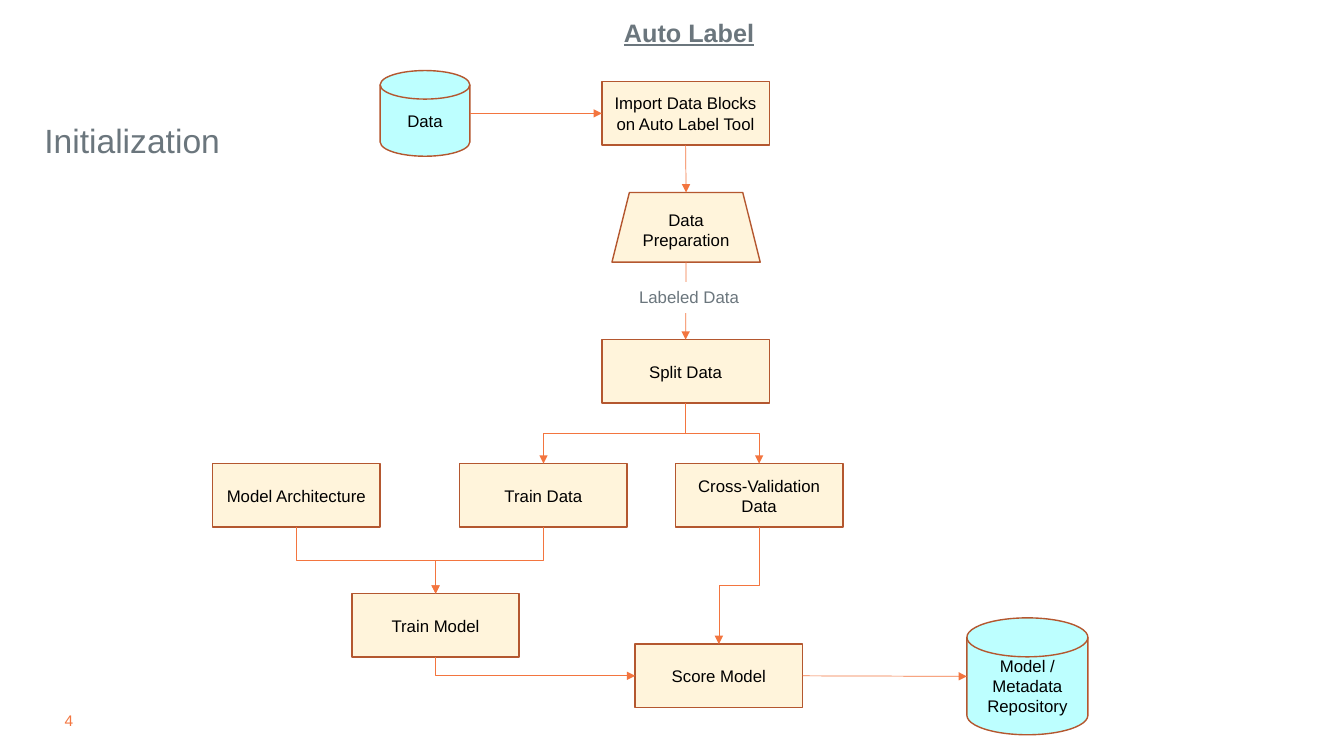
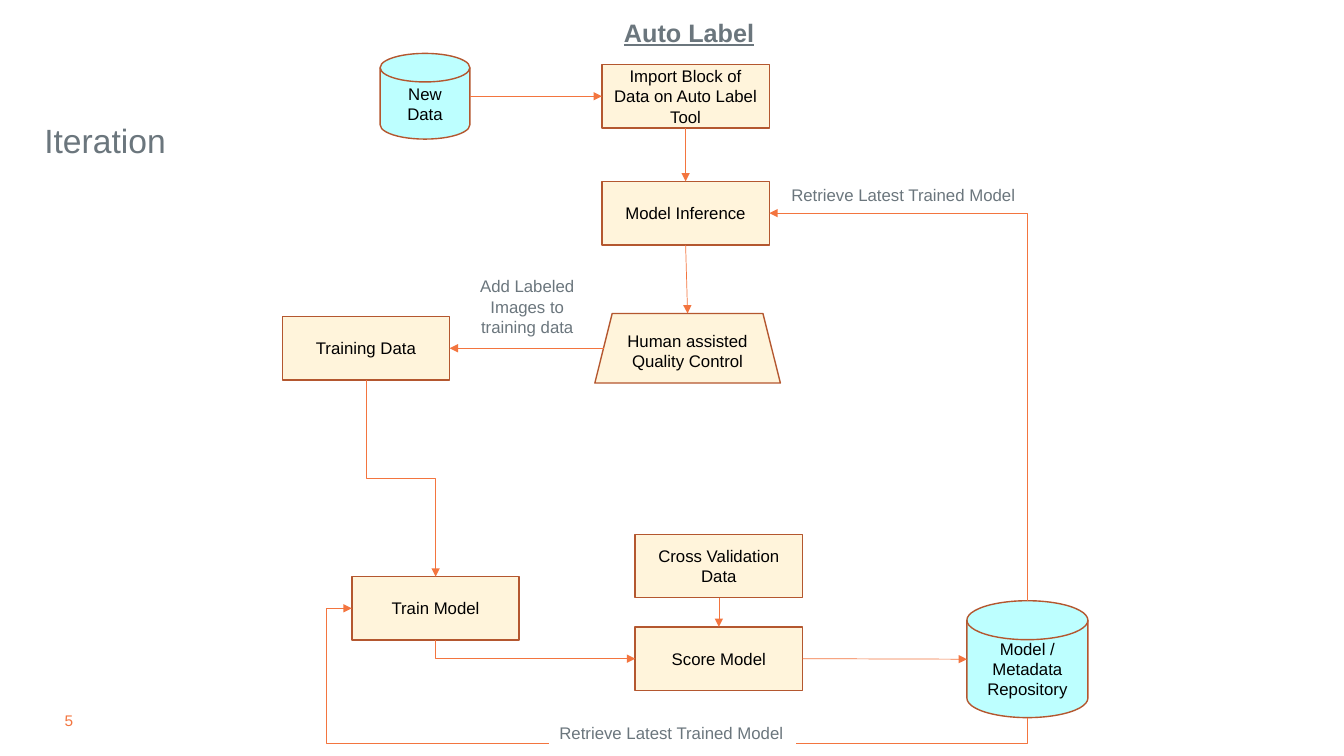
from lxml.etree import SubElement
from pptx import Presentation
from pptx.dml.color import RGBColor
from pptx.enum.shapes import MSO_CONNECTOR, MSO_SHAPE
from pptx.enum.text import MSO_ANCHOR, MSO_AUTO_SIZE, PP_ALIGN
from pptx.oxml.ns import qn
from pptx.util import Inches, Pt

# Shared look
FONT = "Arial"
GREY, ORANGE, RUST = "6B767D", "F3753F", "B4572F"
CREAM, AQUA, WHITE, BLACK = "FFF4DB", "BDFFFF", "FFFFFF", "000000"
HEADING = "Auto Label"
BOX_SIZE, DATA_SIZE, STORE_SIZE = (1.66, 0.63), (0.89, 0.85), (1.2, 1.16)
RECT, DISK, TRAPEZOID = (
    MSO_SHAPE.RECTANGLE, MSO_SHAPE.FLOWCHART_MAGNETIC_DISK, MSO_SHAPE.TRAPEZOID)
SIDES = ("top", "left", "bottom", "right")
STRAIGHT, CORNER, STEP, LOOP = (
    "line", "bentConnector2", "bentConnector3", "bentConnector4")
REPOSITORY = "Model / Metadata Repository"
RETRIEVE = "Retrieve Latest Trained Model"

# Nodes: name -> (shape, left, top, size, text)
# Links: (from, side, to, side, route, adjustments in 1/1000 of a percent)
# Labels: (left, top, width, height, alignment, text)
SLIDES = [
    {
        "title": "Initialization",
        "number": "4",
        "nodes": {
            "data": (DISK, 3.77, 0.7, DATA_SIZE, "Data"),
            "import": (RECT, 5.97, 0.81, BOX_SIZE,
                       "Import Data Blocks on Auto Label Tool"),
            "prepare": (TRAPEZOID, 6.07, 1.91, (1.47, 0.69), "Data Preparation"),
            "split": (RECT, 5.97, 3.37, BOX_SIZE, "Split Data"),
            "architecture": (RECT, 2.11, 4.6, BOX_SIZE, "Model Architecture"),
            "score": (RECT, 6.3, 6.39, BOX_SIZE, "Score Model"),
            "train data": (RECT, 4.56, 4.6, BOX_SIZE, "Train Data"),
            "validation": (RECT, 6.7, 4.6, BOX_SIZE, "Cross-Validation Data"),
            "train": (RECT, 3.49, 5.89, BOX_SIZE, "Train Model"),
            "store": (DISK, 9.59, 6.13, STORE_SIZE, REPOSITORY),
        },
        "links": [
            ("data", "right", "import", "left", STRAIGHT, ()),
            ("import", "bottom", "prepare", "top", STRAIGHT, ()),
            ("prepare", "bottom", "split", "top", STRAIGHT, ()),
            ("architecture", "bottom", "train", "top", STEP, ()),
            ("train data", "bottom", "train", "top", STEP, ()),
            ("train", "bottom", "score", "left", CORNER, ()),
            ("validation", "bottom", "score", "top", STEP, ()),
            ("score", "right", "store", "left", STRAIGHT, ()),
            ("split", "bottom", "train data", "top", STEP, ()),
            ("split", "bottom", "validation", "top", STEP, ()),
        ],
        "labels": [(6.24, 2.8, 1.2, 0.3, PP_ALIGN.LEFT, "Labeled Data")],
    },
    {
        "title": "Iteration",
        "number": "5",
        "nodes": {
            "data": (DISK, 3.77, 0.53, DATA_SIZE, "New Data"),
            "import": (RECT, 5.97, 0.64, BOX_SIZE,
                       "Import Block of Data on Auto Label Tool"),
            "score": (RECT, 6.3, 6.22, BOX_SIZE, "Score Model"),
            "training": (RECT, 2.8, 3.14, BOX_SIZE, "Training Data"),
            "validation": (RECT, 6.3, 5.3, BOX_SIZE, "Cross Validation Data"),
            "train": (RECT, 3.49, 5.72, BOX_SIZE, "Train Model"),
            "store": (DISK, 9.59, 5.96, STORE_SIZE, REPOSITORY),
            "inference": (RECT, 5.97, 1.8, BOX_SIZE, "Model Inference"),
            "quality": (TRAPEZOID, 5.9, 3.11, (1.84, 0.69),
                        "Human assisted\nQuality Control"),
        },
        "links": [
            ("data", "right", "import", "left", STRAIGHT, ()),
            ("import", "bottom", "inference", "top", STRAIGHT, ()),
            ("train", "bottom", "score", "left", CORNER, ()),
            ("score", "right", "store", "left", STRAIGHT, ()),
            ("inference", "bottom", "quality", "top", STRAIGHT, ()),
            ("quality", "left", "training", "right", STRAIGHT, ()),
            ("training", "bottom", "train", "top", STEP, ()),
            ("store", "top", "inference", "right", CORNER, ()),
            ("store", "bottom", "train", "left", LOOP, (-23200, 103700)),
            ("validation", "bottom", "score", "top", STRAIGHT, ()),
        ],
        "labels": [
            (5.45, 7.12, 2.44, 0.3, PP_ALIGN.LEFT, RETRIEVE),
            (7.75, 1.78, 2.44, 0.3, PP_ALIGN.LEFT, RETRIEVE),
            (4.66, 2.69, 1.14, 0.71, PP_ALIGN.CENTER,
             "Add Labeled\nImages to\ntraining data"),
        ],
    },
]


def color(value):
    return RGBColor.from_string(value)


def write(shape, text, size, tint, align=PP_ALIGN.LEFT, anchor=MSO_ANCHOR.TOP,
          wrap=False, grow=False, inset=True):
    frame = shape.text_frame
    frame.word_wrap = wrap
    frame.vertical_anchor = anchor
    frame.auto_size = MSO_AUTO_SIZE.SHAPE_TO_FIT_TEXT if grow else MSO_AUTO_SIZE.NONE
    if not inset:
        frame.margin_left = frame.margin_top = 0
        frame.margin_right = frame.margin_bottom = 0
    frame.text = text
    for para in frame.paragraphs:
        para.alignment = align
        para.font.name, para.font.size = FONT, Pt(size)
        para.font.color.rgb = color(tint)
    return frame


def add_text(slide, at, text, size, tint, **options):
    box = slide.shapes.add_textbox(*map(Inches, at))
    return write(box, text, size, tint, **options)


def add_block(slide, kind, at, fill, line):
    block = slide.shapes.add_shape(kind, *map(Inches, at))
    block.shadow.inherit = False
    block.fill.solid()
    block.fill.fore_color.rgb = color(fill)
    block.line.color.rgb = color(line)
    block.line.width = Pt(1)
    return block


def add_node(slide, kind, left, top, size, text):
    fill = AQUA if kind == DISK else CREAM
    node = add_block(slide, kind, (left, top, *size), fill, RUST)
    write(node, text, 12, BLACK, PP_ALIGN.CENTER, MSO_ANCHOR.MIDDLE, wrap=True)
    return node


def side_point(node, side):
    """Middle of one side; a trapezoid's slanted sides lie further in."""
    slant = node.height // 8 if node.auto_shape_type == TRAPEZOID else 0
    middle_x, middle_y = node.left + node.width // 2, node.top + node.height // 2
    return {
        "top": (middle_x, node.top),
        "left": (node.left + slant, middle_y),
        "bottom": (middle_x, node.top + node.height),
        "right": (node.left + node.width - slant, middle_y),
    }[side]


def bend(connector, start, end, route, adjustments):
    """Turn a connector so that it leaves its start vertically."""
    across, down = end[0] - start[0], end[1] - start[1]
    connector.width, connector.height = abs(down), abs(across)
    connector.left = (start[0] + end[0] - abs(down)) // 2
    connector.top = (start[1] + end[1] - abs(across)) // 2
    quarter = 270 if route == CORNER or across > 0 else 90
    flip_h = (down > 0) == (quarter == 270)
    flip_v = (across < 0) == (quarter == 270)
    properties = connector.element.spPr
    frame = properties.find(qn("a:xfrm"))
    frame.set("rot", str(quarter * 60000))
    frame.set("flipH", str(int(flip_h)))
    frame.set("flipV", str(int(flip_v)))
    geometry = properties.find(qn("a:prstGeom"))
    geometry.set("prst", route)
    guides = geometry.find(qn("a:avLst"))
    if guides is None:
        guides = SubElement(geometry, qn("a:avLst"))
    for index, value in enumerate(adjustments, 1):
        SubElement(guides, qn("a:gd"), name=f"adj{index}", fmla=f"val {value}")


def add_link(slide, nodes, source, source_side, target, target_side,
             route, adjustments):
    ends = [(nodes[source], source_side), (nodes[target], target_side)]
    start, end = [side_point(*place) for place in ends]
    kind = MSO_CONNECTOR.STRAIGHT if route == STRAIGHT else MSO_CONNECTOR.ELBOW
    connector = slide.shapes.add_connector(kind, *start, *end)
    if route != STRAIGHT:
        bend(connector, start, end, route, adjustments)
    connector.line.color.rgb = color(ORANGE)
    connector.line.width = Pt(0.5)
    properties = connector.element.spPr
    SubElement(properties.find(qn("a:ln")), qn("a:tailEnd"), type="triangle")
    SubElement(properties, qn("a:effectLst"))
    # Glue both ends; a disk has one extra site before its top
    glue = connector.element.find(".//" + qn("p:cNvCxnSpPr"))
    for tag, (node, side) in zip(("a:stCxn", "a:endCxn"), ends):
        site = SIDES.index(side) + (node.auto_shape_type == DISK)
        SubElement(glue, qn(tag), id=str(node.shape_id), idx=str(site))


def add_label(slide, left, top, width, height, align, text):
    label = add_block(slide, RECT, (left, top, width, height), WHITE, WHITE)
    write(label, text, 12, GREY, align, grow=True)


def build_slide(deck, content):
    slide = deck.slides.add_slide(deck.slide_layouts[6])
    # Page number and title
    add_text(slide, (0.64, 7.05, 0.19, 0.19), content["number"], 11, ORANGE,
             grow=True, inset=False)
    add_text(slide, (0.44, 1.19, 1.97, 0.49), content["title"], 24, GREY,
             inset=False)
    # Flow chart
    nodes = {name: add_node(slide, *node) for name, node in content["nodes"].items()}
    for link in content["links"]:
        add_link(slide, nodes, *link)
    for label in content["labels"]:
        add_label(slide, *label)
    # Heading
    frame = add_text(slide, (6.09, 0.12, 1.51, 0.4), HEADING, 18, GREY, grow=True)
    font = frame.paragraphs[0].font
    font.bold = font.underline = True


def main():
    deck = Presentation()
    deck.slide_width, deck.slide_height = Inches(13.33), Inches(7.5)
    for content in SLIDES:
        build_slide(deck, content)
    deck.save("out.pptx")


if __name__ == "__main__":
    main()
